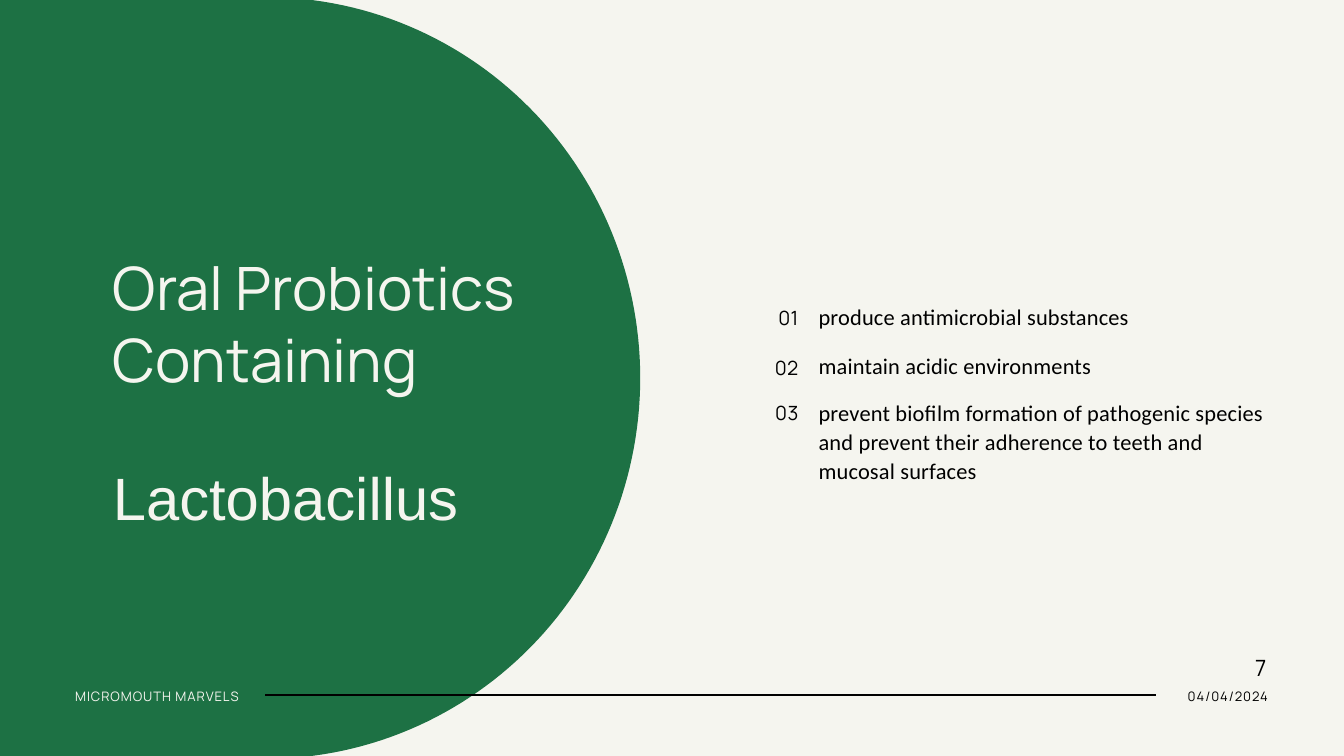
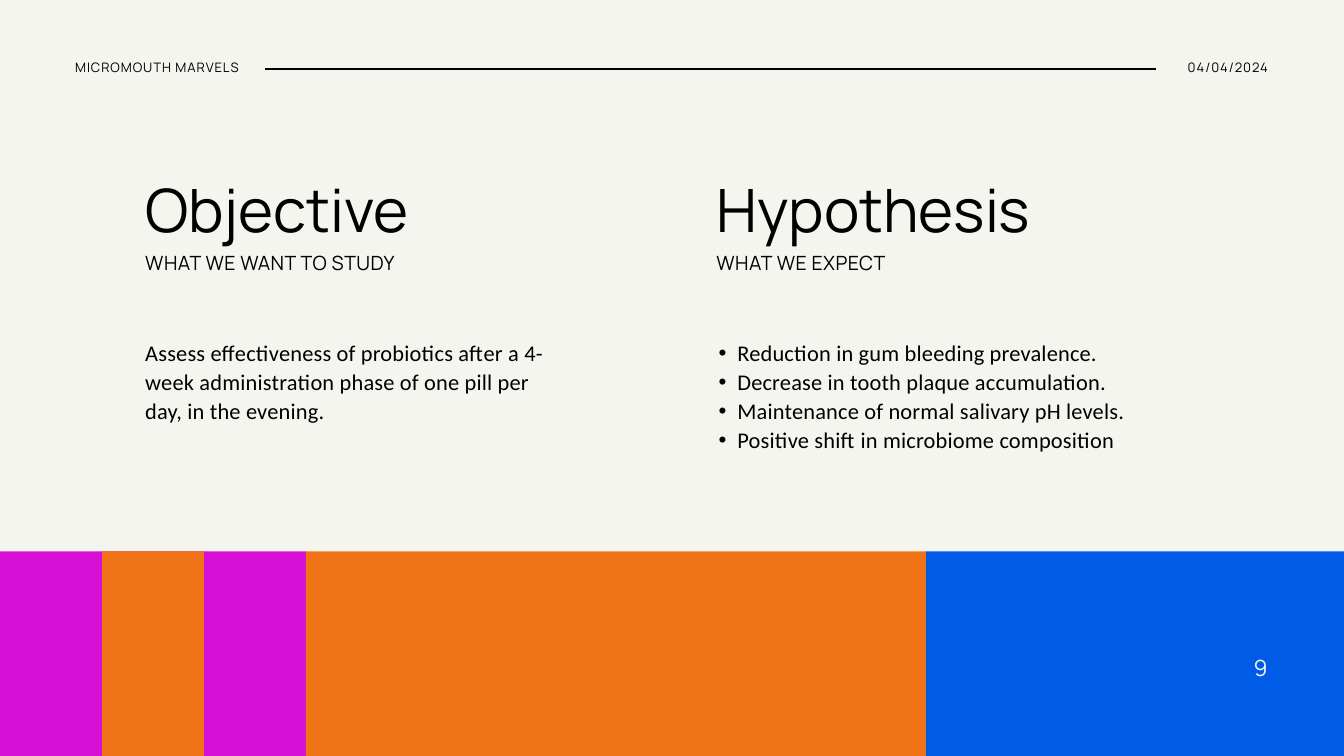
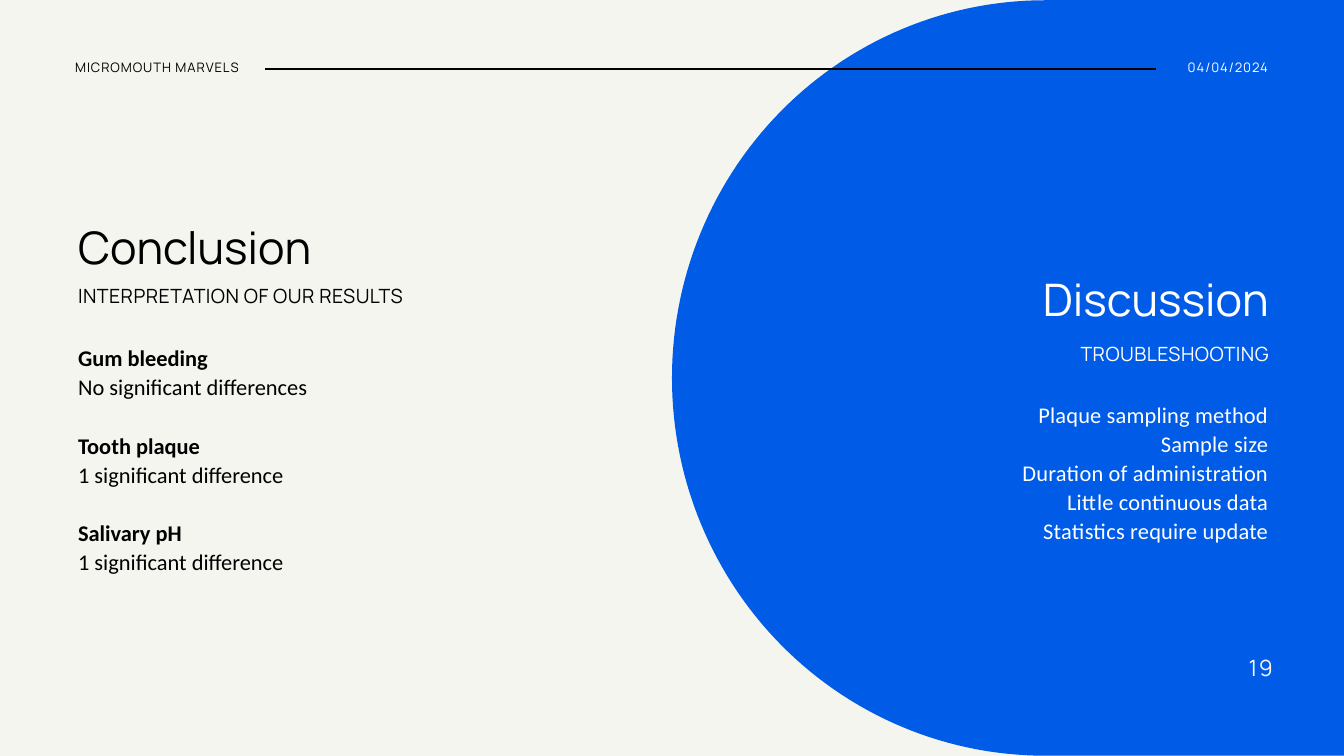
from dataclasses import dataclass
from itertools import cycle
from math import cos, pi, sin

from lxml.etree import SubElement
from pptx import Presentation
from pptx.dml.color import RGBColor
from pptx.enum.shapes import MSO_CONNECTOR, MSO_SHAPE
from pptx.enum.text import MSO_ANCHOR, MSO_AUTO_SIZE, PP_ALIGN
from pptx.oxml.ns import qn
from pptx.util import Cm, Pt


@dataclass(frozen=True)
class TextStyle:
    font: str
    size: float
    leading: float
    tracking: float = 0


@dataclass(frozen=True)
class Theme:
    cream: str = "F5F5EF"
    black: str = "000000"
    white: str = "FFFFFF"
    green: str = "1D7144"
    blue: str = "005CE6"
    magenta: str = "D610D4"
    orange: str = "F17318"
    title: TextStyle = TextStyle("Manrope", 64, 76.8)
    species: TextStyle = TextStyle("Arial", 64, 76.8)
    heading: TextStyle = TextStyle("Manrope", 48, 57.6)
    kicker: TextStyle = TextStyle("Manrope", 21, 25.2, 0.5)
    body: TextStyle = TextStyle("Calibri", 24, 31.2, 0.2)
    label: TextStyle = TextStyle("Manrope", 14, 16.8, 1)
    page: TextStyle = TextStyle("Manrope", 24, 28.8, 1.7)


THEME = Theme()
WIDTH, HEIGHT = 50.8, 28.58
TITLE_AND_LIST, COMPARISON = 1, 4
LEFT, CENTER, RIGHT = PP_ALIGN.LEFT, PP_ALIGN.CENTER, PP_ALIGN.RIGHT


def set_bullet(paragraph, bullet, indent, hanging):
    props = paragraph._p.get_or_add_pPr()
    props.set("marL", str(Cm(indent)))
    props.set("indent", str(-Cm(hanging)))
    if bullet:
        SubElement(props, qn("a:buFont"), typeface="Arial")
        SubElement(props, qn("a:buChar"), char=bullet)
    else:
        SubElement(props, qn("a:buNone"))


def write(frame, lines, style=THEME.body, color=THEME.black, align=LEFT,
          bold=(False,), gaps=(0,), bullet=None, indent=0, hanging=0):
    frame.margin_left = frame.margin_right = 0
    frame.margin_top = frame.margin_bottom = 0
    frame.word_wrap = True
    frame.auto_size = MSO_AUTO_SIZE.NONE
    frame.vertical_anchor = MSO_ANCHOR.TOP
    for index, (line, strong, gap) in enumerate(zip(lines, cycle(bold), cycle(gaps))):
        paragraph = frame.add_paragraph() if index else frame.paragraphs[0]
        set_bullet(paragraph, bullet, indent, hanging)
        paragraph.alignment = align
        paragraph.line_spacing = Pt(style.leading)
        paragraph.space_before = Pt(gap)
        paragraph.space_after = Pt(0)
        run = paragraph.add_run()
        run.text = line
        run.font.name = style.font
        run.font.size = Pt(style.size)
        run.font.bold = strong
        run.font.color.rgb = RGBColor.from_string(color)
        run._r.get_or_add_rPr().set("spc", str(round(style.tracking * 100)))


class Deck:
    def __init__(self, theme):
        self.theme = theme
        self.prs = Presentation()
        self.prs.slide_width, self.prs.slide_height = Cm(WIDTH), Cm(HEIGHT)
        self.paint(self.prs.slide_master.background, theme.cream)
        self.slide = None

    def paint(self, target, color):
        target.fill.solid()
        target.fill.fore_color.rgb = RGBColor.from_string(color)

    def finish(self, shape, color):
        self.paint(shape, color)
        shape.line.fill.background()
        shape.shadow.inherit = False

    def new_slide(self, layout):
        self.slide = self.prs.slides.add_slide(self.prs.slide_layouts[layout])

    def text(self, box, *lines, **style):
        area = self.slide.shapes.add_textbox(*map(Cm, box))
        write(area.text_frame, lines, **style)

    def fill(self, slot, box, *lines, **style):
        holder = self.slide.placeholders[slot]
        holder.left, holder.top, holder.width, holder.height = map(Cm, box)
        write(holder.text_frame, lines, **style)
        self.slide.shapes.element.append(holder.element)

    def band(self, left, right, color, top=20.85):
        box = map(Cm, (left, top, right - left, HEIGHT - top))
        self.finish(self.slide.shapes.add_shape(MSO_SHAPE.RECTANGLE, *box), color)

    def half_disc(self, edge, center, reach, radius, color, steps=120):
        angles = [pi * step / steps - pi / 2 for step in range(steps + 1)]
        arc = [(Cm(center + reach * cos(a)), Cm(HEIGHT / 2 + radius * sin(a)))
               for a in angles]
        outline = [(Cm(edge), arc[0][1]), *arc, (Cm(edge), arc[-1][1])]
        builder = self.slide.shapes.build_freeform(*outline[0], scale=1.0)
        builder.add_line_segments(outline[1:], close=True)
        self.finish(builder.convert_to_shape(), color)

    def rule(self, y):
        line = self.slide.shapes.add_connector(
            MSO_CONNECTOR.STRAIGHT, Cm(10.03), Cm(y), Cm(43.69), Cm(y))
        line.line.color.rgb = RGBColor.from_string(self.theme.black)
        line.line.width = Pt(2.5)
        SubElement(line.element.spPr, qn("a:effectLst"))

    def running_line(self, page, top=2.26, rule_y=2.62, name_color=THEME.black,
                     date_color=THEME.black, page_color=THEME.cream):
        label = self.theme.label
        self.rule(rule_y)
        self.text((42.7, top, 5.23, 0.58), "04/04/2024",
                  style=label, color=date_color, align=RIGHT)
        self.text((2.84, top, 7.19, 0.58), "MICROMOUTH MARVELS",
                  style=label, color=name_color)
        self.text((47.17, 24.71, 0.96, 1.02), page,
                  style=self.theme.page, color=page_color, align=CENTER)


def add_lactobacillus(deck):
    theme = deck.theme
    deck.new_slide(TITLE_AND_LIST)
    deck.half_disc(0, 10.03, 14.17, 14.4, theme.green)
    deck.fill(0, (4.27, 9.5, 16.28, 7.98), "Oral Probiotics Containing",
              style=theme.title, color=theme.cream)
    deck.text((4.27, 17.42, 16.28, 2.72), "Lactobacillus",
              style=theme.species, color=theme.cream)
    for number, top in enumerate((11.56, 13.44, 15.16), 1):
        deck.text((28.58, top, 1.6, 0.86), f"{number:02}",
                  style=theme.kicker, align=RIGHT)
    deck.fill(1, (30.94, 11.38, 16.99, 6.91),
              "produce antimicrobial substances",
              "maintain acidic environments",
              "prevent biofilm formation of pathogenic species and prevent "
              "their adherence to teeth and mucosal surfaces",
              gaps=(0, 21.4, 18.5))
    deck.running_line("7", top=26.01, rule_y=26.28,
                      name_color=theme.cream, page_color=theme.black)


def add_objective(deck):
    theme = deck.theme
    deck.new_slide(COMPARISON)
    deck.band(35, WIDTH, theme.blue)
    deck.band(0, 11.56, theme.magenta)
    deck.band(11.56, 35, theme.orange)
    deck.band(3.86, 7.71, theme.orange)
    deck.fill(0, (5.49, 6.55, 17.27, 2.67), "Objective", style=theme.title)
    deck.fill(1, (5.49, 9.5, 17.27, 0.86), "WHAT WE WANT TO STUDY", style=theme.kicker)
    deck.fill(2, (5.49, 12.73, 15.21, 3.3),
              "Assess effectiveness of probiotics after a 4-week administration "
              "phase of one pill per day, in the evening.")
    deck.text((27.08, 6.55, 17.27, 2.67), "Hypothesis", style=theme.title)
    deck.fill(3, (27.08, 9.5, 17.27, 0.86), "WHAT WE EXPECT", style=theme.kicker)
    deck.fill(4, (26.42, 12.73, 17.27, 4.34),
              "Reduction in gum bleeding prevalence.",
              "Decrease in tooth plaque accumulation.",
              "Maintenance of normal salivary pH levels.",
              "Positive shift in microbiome composition",
              bullet="•", indent=1.45, hanging=0.71)
    deck.running_line("9")


def add_conclusion(deck):
    theme = deck.theme
    troubleshooting = {"color": theme.white, "align": RIGHT}
    deck.new_slide(COMPARISON)
    deck.half_disc(WIDTH, 39.5, -14.1, 14.28, theme.blue)
    deck.fill(0, (2.95, 8.31, 19.96, 2.03), "Conclusion", style=theme.heading)
    deck.fill(1, (2.95, 10.72, 19.96, 0.86), "INTERPRETATION OF OUR RESULTS",
              style=theme.kicker)
    deck.fill(2, (2.95, 12.93, 16.1, 8.79),
              "Gum bleeding", "No significant differences",
              "Tooth plaque", "1 significant difference",
              "Salivary pH", "1 significant difference",
              style=TextStyle("Calibri", 24, 31.2),
              bold=(True, False), gaps=(0, 0, 31.2, 0, 31.2, 0))
    deck.text((30.38, 10.26, 17.58, 2.03), "Discussion",
              style=theme.heading, **troubleshooting)
    deck.fill(3, (30.38, 12.93, 17.58, 0.86), "TROUBLESHOOTING",
              style=theme.kicker, **troubleshooting)
    deck.fill(4, (31.83, 15.06, 16.1, 5.51),
              "Plaque sampling method", "Sample size", "Duration of administration",
              "Little continuous data", "Statistics require update", **troubleshooting)
    deck.running_line("19", date_color=theme.white)


def main():
    deck = Deck(THEME)
    add_lactobacillus(deck)
    add_objective(deck)
    add_conclusion(deck)
    deck.prs.save("out.pptx")


if __name__ == "__main__":
    main()
